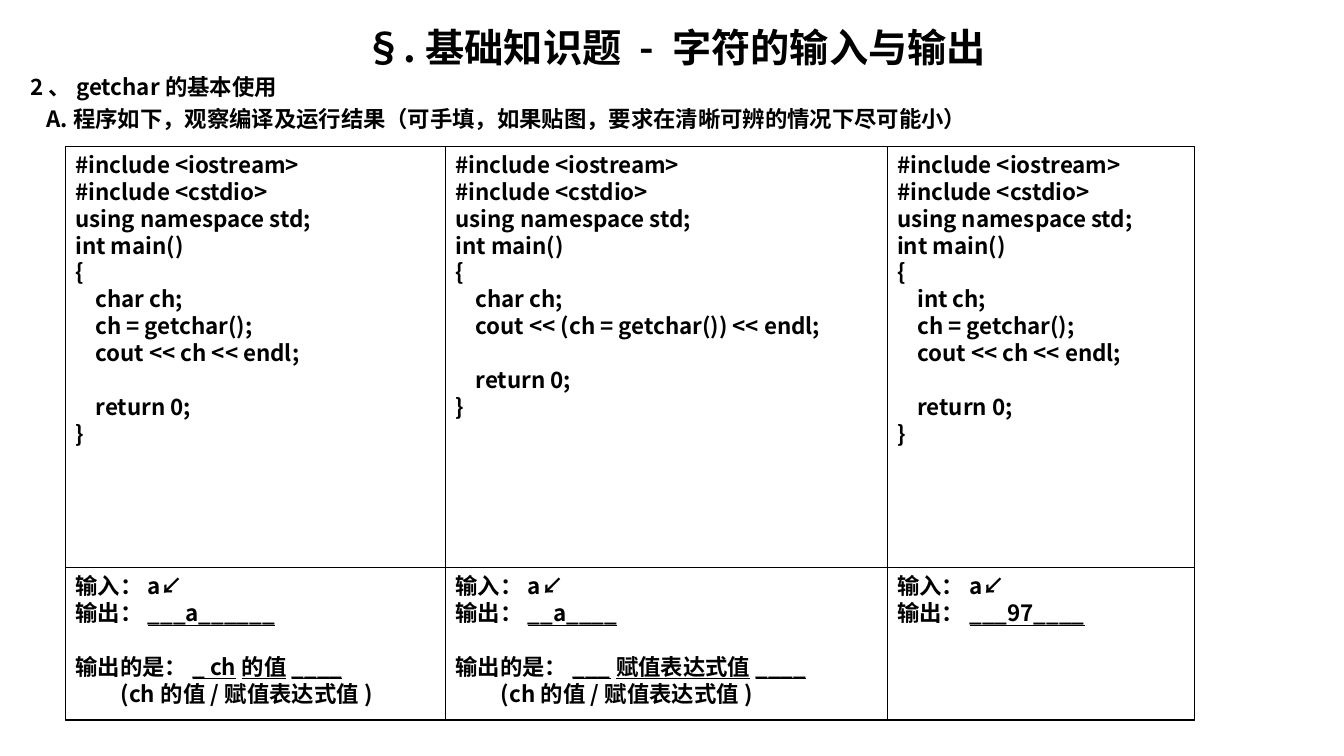
import pptx
import pptx.dml.color
import pptx.enum.shapes
import pptx.enum.text
import pptx.oxml.ns
import pptx.util
from lxml import etree
from pptx.util import Inches

FONT = "Noto Sans CJK SC"
BLACK = "000000"
LINE_RATIO = 1.2  # line pitch relative to the text size
TOP, COLUMN_HEIGHT = 1.45, 5.7
ANSWER_TOP, ANSWER_HEIGHT = 5.63, 1.51
CODE_INDENT, HINT_INDENT = 0.2, 0.45

HEAD = ["#include <iostream>", "#include <cstdio>", "using namespace std;",
        "int main()", "{"]
HINT = "(ch的值/赋值表达式值)"

# left, width, body of main(), printed answer, meaning of the output
PROGRAMS = [
    (0.65, 3.77, ["char ch;", "ch = getchar();", "cout << ch << endl;"],
     "___a______", "_ ch的值____"),
    (4.42, 4.38, ["char ch;", "cout << (ch = getchar()) << endl;"],
     "__a____", "___赋值表达式值____"),
    (8.8, 3.05, ["int ch;", "ch = getchar();", "cout << ch << endl;"],
     "___97____", None),
]


def color(hex_text):
    return pptx.dml.color.RGBColor.from_string(hex_text)


def style_run(r, size):
    r.font.size = pptx.util.Pt(size)
    r.font.bold = True
    r.font.name = FONT
    r.font.color.rgb = color(BLACK)
    ea = etree.SubElement(r.font._element, pptx.oxml.ns.qn("a:ea"))
    ea.set("typeface", FONT)


def set_frame(tf):
    tf.word_wrap = True
    tf.auto_size = pptx.enum.text.MSO_AUTO_SIZE.NONE
    tf.vertical_anchor = pptx.enum.text.MSO_ANCHOR.TOP
    tf.margin_left = tf.margin_right = Inches(0.1)
    tf.margin_top = tf.margin_bottom = Inches(0.05)


def write_line(p, text, answer=None, size=16, indent=0, before=0,
               align=pptx.enum.text.PP_ALIGN.LEFT):
    """Fill a paragraph with text and an optional underlined answer."""
    p.text = text
    if answer:
        r = p.add_run()
        r.text = answer
        r.font.underline = True
    for r in p.runs:
        style_run(r, size)
    p.alignment = align
    p.line_spacing = pptx.util.Pt(size * LINE_RATIO)
    p.space_before = pptx.util.Pt(before)
    p.space_after = pptx.util.Pt(0)
    pPr = p._p.get_or_add_pPr()
    pPr.set("marL", str(Inches(indent)))
    pPr.set("indent", "0")


def write_lines(tf, lines):
    """Write one paragraph for each dict of write_line arguments."""
    set_frame(tf)
    for i, line in enumerate(lines):
        p = tf.add_paragraph() if i else tf.paragraphs[0]
        write_line(p, **line)


def add_box(s, left, top, width, height, lines):
    sp = s.shapes.add_shape(pptx.enum.shapes.MSO_SHAPE.RECTANGLE, Inches(left),
                            Inches(top), Inches(width), Inches(height))
    sp.shadow.inherit = False
    sp.fill.background()
    sp.line.color.rgb = color(BLACK)
    sp.line.width = pptx.util.Pt(0.75)
    write_lines(sp.text_frame, lines)


def add_title(s, text):
    sp = s.shapes.title
    sp.left, sp.top = Inches(0.2), Inches(0.18)
    sp.width, sp.height = Inches(12.99), Inches(0.55)
    write_lines(sp.text_frame, [
        dict(text=text, size=28, align=pptx.enum.text.PP_ALIGN.CENTER)])


def add_question(s, heading, task):
    sp = s.shapes.add_textbox(Inches(0.2), Inches(0.68), Inches(12.99), Inches(0.75))
    write_lines(sp.text_frame, [dict(text=heading),
                                dict(text=task, indent=0.16, before=3.6)])


def code_lines(body):
    gap = 16 * LINE_RATIO
    return ([dict(text=t) for t in HEAD]
            + [dict(text=t, indent=CODE_INDENT) for t in body]
            + [dict(text="return 0;", indent=CODE_INDENT, before=gap),
               dict(text="}")])


def answer_lines(printed, meaning):
    lines = [dict(text="输入：a↙"), dict(text="输出：", answer=printed)]
    if meaning:
        lines += [dict(text="输出的是：", answer=meaning, before=16 * LINE_RATIO),
                  dict(text=HINT, indent=HINT_INDENT)]
    return lines


def main():
    prs = pptx.Presentation()
    prs.slide_width, prs.slide_height = Inches(13.33), Inches(7.5)
    s = prs.slides.add_slide(prs.slide_layouts[5])
    add_title(s, "§.基础知识题 - 字符的输入与输出")
    add_question(s, "2、getchar的基本使用",
                 "A.程序如下，观察编译及运行结果（可手填，如果贴图，要求在清晰可辨的情况下尽可能小）")
    for left, width, body, printed, meaning in PROGRAMS:
        add_box(s, left, TOP, width, COLUMN_HEIGHT, code_lines(body))
        add_box(s, left, ANSWER_TOP, width, ANSWER_HEIGHT,
                answer_lines(printed, meaning))
    prs.save("out.pptx")


if __name__ == "__main__":
    main()
